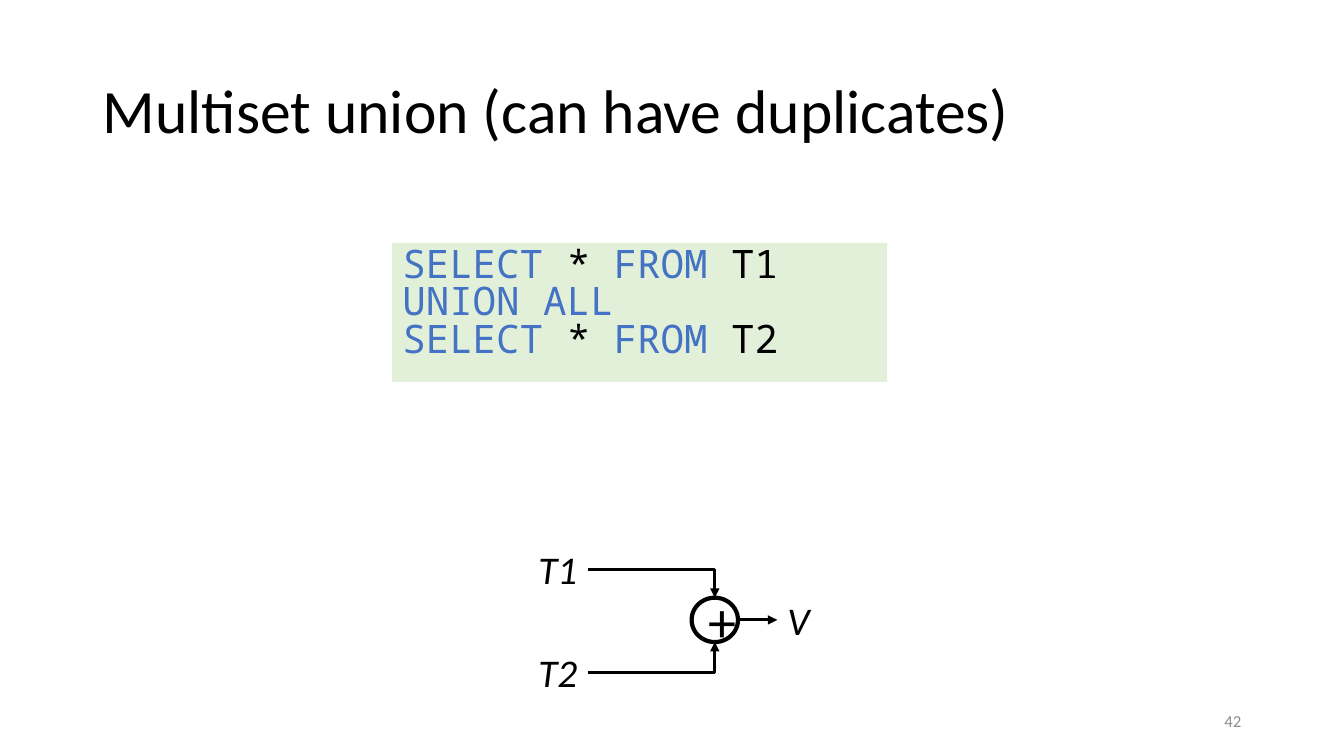
from lxml.etree import SubElement
from pptx import Presentation
from pptx.dml.color import RGBColor
from pptx.enum.shapes import MSO_CONNECTOR, MSO_SHAPE
from pptx.enum.text import MSO_ANCHOR, MSO_AUTO_SIZE, PP_ALIGN
from pptx.oxml.ns import qn
from pptx.util import Pt

EMU_PER_PX = 9144
BLACK = RGBColor(0x00, 0x00, 0x00)
WHITE = RGBColor(0xFF, 0xFF, 0xFF)
KEYWORD_BLUE = RGBColor(0x44, 0x72, 0xC4)
CODE_GREEN = RGBColor(0xE2, 0xF0, 0xD9)
NUMBER_GRAY = RGBColor(0x8C, 0x8C, 0x8C)
KEYWORDS = {"SELECT", "FROM", "UNION", "ALL"}
QUERY = ["SELECT * FROM T1", "UNION ALL", "SELECT * FROM T2"]


def px(*lengths):
    """Turn pixel lengths into EMU."""
    return [length * EMU_PER_PX for length in lengths]


def place(shape, box):
    """Move a shape into a left, top, width, height box."""
    shape.left, shape.top, shape.width, shape.height = px(*box)


def set_font(font, size, color=BLACK, name="Calibri", italic=False):
    """Format a font."""
    font.size, font.name, font.italic = Pt(size), name, italic
    font.color.rgb = color


def add_title(slide, box, text):
    """Fill the title placeholder."""
    title = slide.shapes.title
    place(title, box)
    frame = title.text_frame
    frame.text = text
    frame.auto_size = MSO_AUTO_SIZE.NONE
    frame.vertical_anchor = MSO_ANCHOR.MIDDLE
    paragraph = frame.paragraphs[0]
    paragraph.alignment = PP_ALIGN.LEFT
    paragraph.line_spacing = 0.9
    set_font(paragraph.font, 44)


def add_query(slide, box, lines):
    """Fill the body placeholder with highlighted SQL."""
    body = slide.placeholders[1]
    place(body, box)
    body.fill.solid()
    body.fill.fore_color.rgb = CODE_GREEN
    frame = body.text_frame
    frame.auto_size = MSO_AUTO_SIZE.NONE
    paragraph = frame.paragraphs[0]
    properties = paragraph._p.get_or_add_pPr()
    properties.set("marL", "0")
    properties.set("indent", "0")
    SubElement(properties, qn("a:buNone"))
    paragraph.line_spacing = 0.8
    paragraph.space_before = Pt(0)
    set_font(paragraph.font, 28, name="Noto Sans Mono")
    for number, line in enumerate(lines):
        if number:
            paragraph.add_line_break()
        words = line.split()
        for position, word in enumerate(words):
            run = paragraph.add_run()
            run.text = word if position == len(words) - 1 else word + " "
            color = KEYWORD_BLUE if word in KEYWORDS else BLACK
            set_font(run.font, 28, color, "Noto Sans Mono")


def add_label(slide, box, text):
    """Add an italic relation name."""
    label = slide.shapes.add_textbox(*px(*box))
    frame = label.text_frame
    frame.word_wrap = False
    frame.text = text
    set_font(frame.paragraphs[0].font, 28, italic=True)


def add_arrow(slide, kind, start, end):
    """Add a black arrow; an elbow runs across first and then turns once."""
    arrow = slide.shapes.add_connector(kind, *px(*start, *end))
    arrow.line.color.rgb = BLACK
    arrow.line.width = Pt(2.25)
    properties = arrow._element.spPr
    if kind == MSO_CONNECTOR.ELBOW:
        properties.find(qn("a:prstGeom")).set("prst", "bentConnector2")
    SubElement(arrow.line._get_or_add_ln(), qn("a:tailEnd"), type="triangle")
    SubElement(properties, qn("a:effectLst"))


def add_union_diagram(slide, box):
    """Draw T1 and T2 flowing through a plus node into V."""
    left, top, width, height = box
    label_width, label_height = 59, 57
    node_width, node_height = 46, 44
    node_left = left + 162
    node_top = top + (height - node_height) // 2
    center_x = node_left + node_width // 2
    center_y = node_top + node_height // 2

    node = slide.shapes.add_shape(
        MSO_SHAPE.OVAL, *px(node_left, node_top, node_width, node_height))
    node.shadow.inherit = False
    node.fill.solid()
    node.fill.fore_color.rgb = WHITE
    node.line.color.rgb = BLACK
    node.line.width = Pt(3)
    node.text_frame.text = "+"
    node.text_frame.vertical_anchor = MSO_ANCHOR.MIDDLE
    paragraph = node.text_frame.paragraphs[0]
    paragraph.alignment = PP_ALIGN.CENTER
    set_font(paragraph.font, 40)

    inputs = [("T1", top, node_top),
              ("T2", top + height - label_height, node_top + node_height)]
    for name, label_top, node_edge in inputs:
        add_label(slide, (left, label_top, label_width, label_height), name)
        add_arrow(slide, MSO_CONNECTOR.ELBOW,
                  (left + label_width, label_top + label_height // 2 + 1),
                  (center_x, node_edge))

    output_left = left + width - 42
    add_label(slide, (output_left, center_y - 28, 42, label_height), "V")
    add_arrow(slide, MSO_CONNECTOR.STRAIGHT,
              (node_left + node_width, center_y), (output_left, center_y))


def add_slide_number(slide, box, text):
    """Add the gray page number."""
    number = slide.shapes.add_textbox(*px(*box))
    frame = number.text_frame
    frame.word_wrap = True
    frame.vertical_anchor = MSO_ANCHOR.MIDDLE
    frame.text = text
    paragraph = frame.paragraphs[0]
    paragraph.alignment = PP_ALIGN.RIGHT
    set_font(paragraph.font, 12, NUMBER_GRAY)


def main():
    """Build and save the slide."""
    presentation = Presentation()
    presentation.slide_width, presentation.slide_height = px(1333, 750)
    slide = presentation.slides.add_slide(presentation.slide_layouts[1])
    add_title(slide, (92, 40, 1150, 145), "Multiset union (can have duplicates)")
    add_query(slide, (389, 241, 491, 138), QUERY)
    add_union_diagram(slide, (524, 536, 289, 159))
    add_slide_number(slide, (1199, 695, 42, 40), "42")
    presentation.save("out.pptx")


if __name__ == "__main__":
    main()
